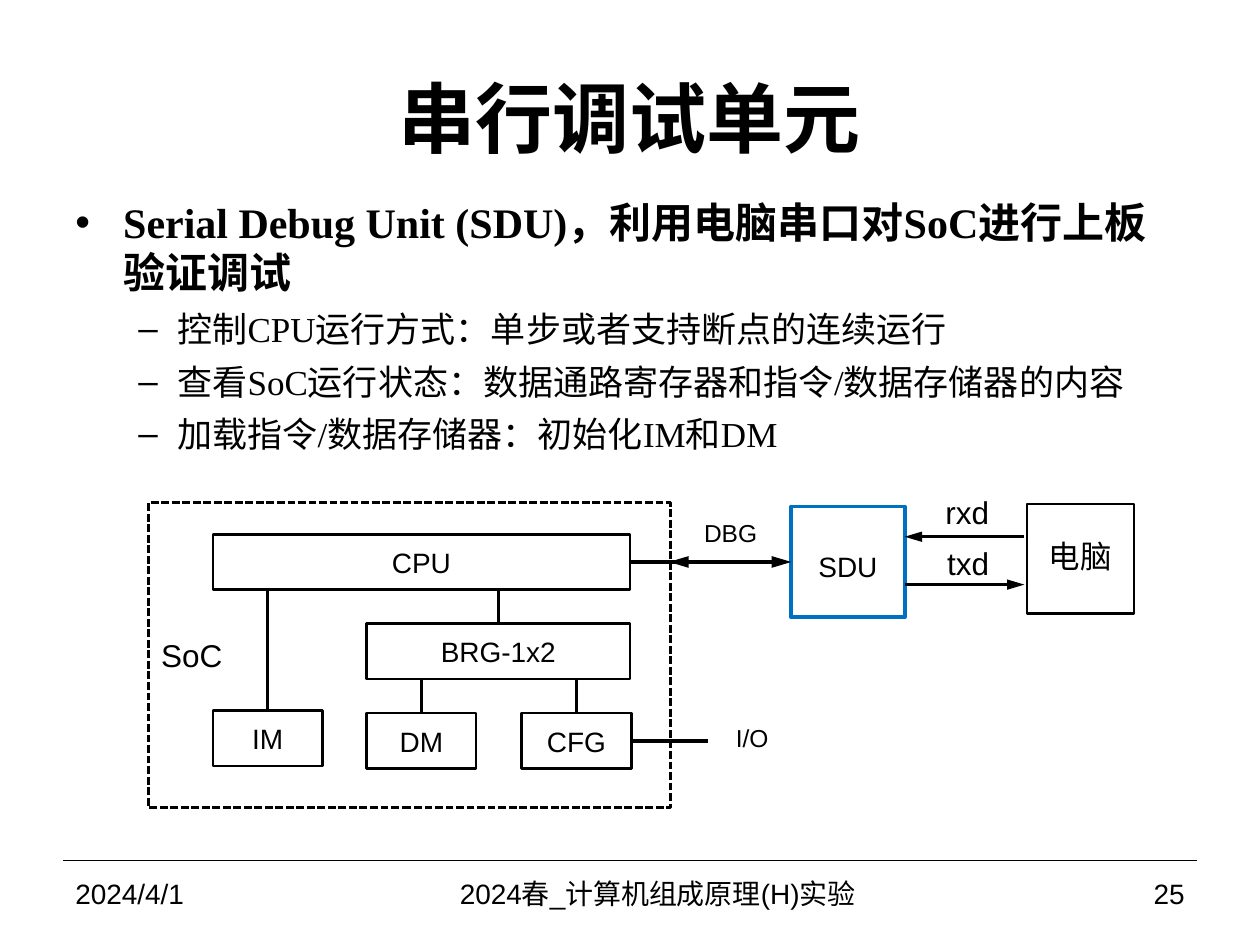
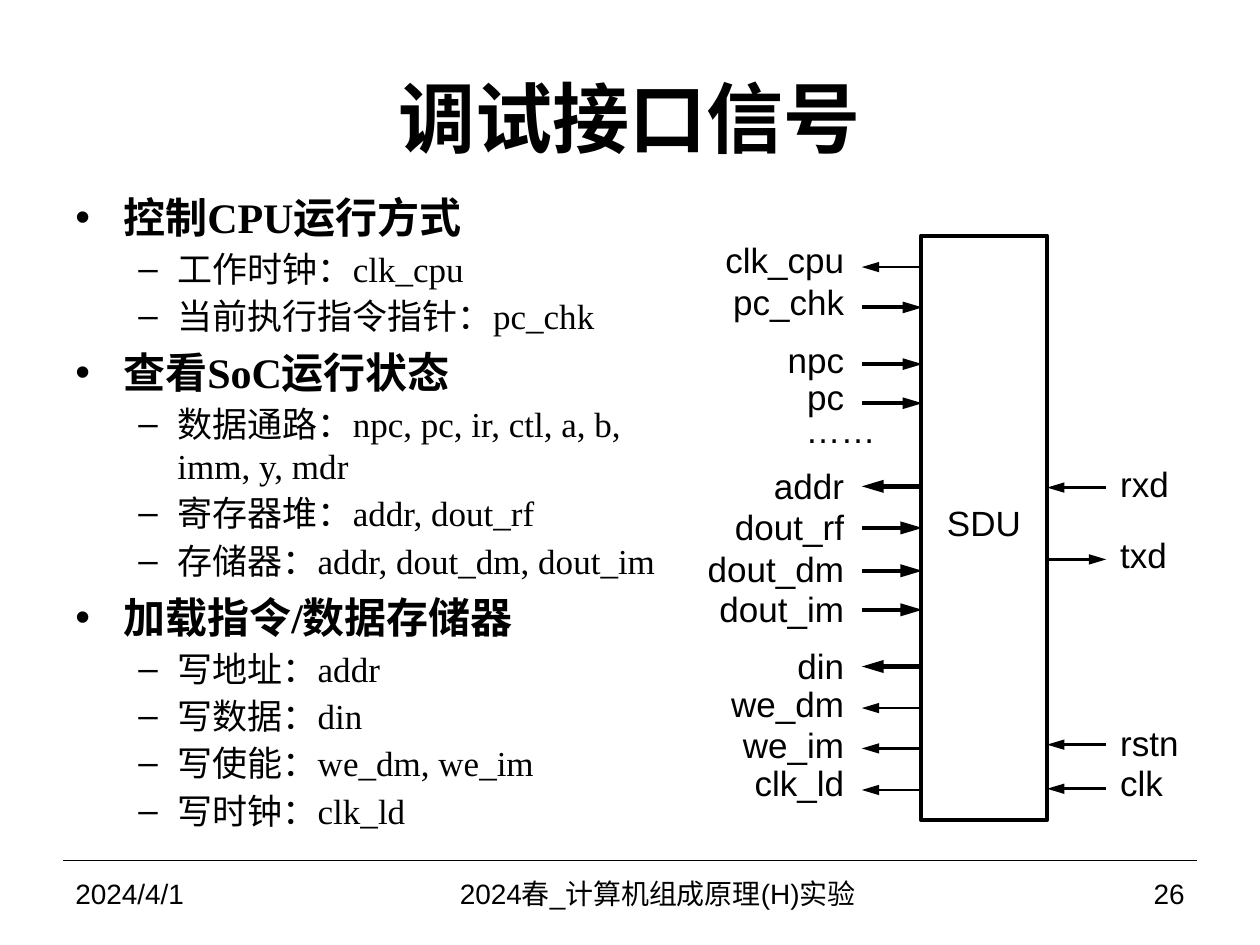
from lxml import etree
from pptx import Presentation
from pptx import util as u
from pptx.dml.color import RGBColor
from pptx.enum import dml, shapes, text
from pptx.oxml.ns import qn

HUES = {"ink": "000000", "blue": "0070C0"}
SANS, SERIF = "Arial", "Times New Roman"
LEFT, MID, RIGHT = text.PP_ALIGN.LEFT, text.PP_ALIGN.CENTER, text.PP_ALIGN.RIGHT
TOP, WEST, SOUTH, EAST = range(4)
NORM, BOLD, FAT = 1.5, 2.25, 2.5


def hue(name):
    return RGBColor.from_string(HUES[name])


def span(box, org=(0, 0)):
    """Turn a box in inches, relative to org, into lengths."""
    x, y, w, h = box
    return [u.Inches(v) for v in (org[0] + x, org[1] + y, w, h)]


def style(para, size, face=SANS, bold=False, align=LEFT):
    para.alignment = align
    for run in para.runs:
        font = run.font
        font.size, font.name, font.bold = u.Pt(size), face, bold
        font.color.rgb = hue("ink")


def frame(shape, words, size, align=LEFT, wrap=False, pad=(0, 0, 0, 0)):
    """Fill a shape with one line of text, centred in height."""
    tf = shape.text_frame
    tf.text = words
    tf.word_wrap = wrap
    tf.vertical_anchor = text.MSO_ANCHOR.MIDDLE
    (tf.margin_left, tf.margin_top,
     tf.margin_right, tf.margin_bottom) = [u.Inches(v) for v in pad]
    style(tf.paragraphs[0], size, align=align)
    return tf.paragraphs[0]


def label(slide, org, box, words, size, align=RIGHT):
    frame(slide.shapes.add_textbox(*span(box, org)), words, size, align)


def block(slide, org, box, words, size=16, line=NORM, tint="ink", align=MID, **more):
    shape = slide.shapes.add_shape(shapes.MSO_SHAPE.RECTANGLE, *span(box, org))
    shape.shadow.inherit = False
    shape.fill.background()
    shape.line.color.rgb = hue(tint)
    shape.line.width = u.Pt(line)
    frame(shape, words, size, align, **more)
    return shape


def wire(slide, org, start, end, width=2, ends=(), begin=None, stop=None):
    """Draw a line; ends names arrowheads, begin and stop are (shape, side)."""
    x, y = org
    line = slide.shapes.add_connector(
        shapes.MSO_CONNECTOR.STRAIGHT,
        *[u.Inches(v) for v in (x + start[0], y + start[1], x + end[0], y + end[1])])
    if begin:
        line.begin_connect(*begin)
    if stop:
        line.end_connect(*stop)
    line.line.color.rgb = hue("ink")
    line.line.width = u.Pt(width)
    props = line._element.spPr
    for tag in ends:
        etree.SubElement(props.find(qn("a:ln")), qn("a:" + tag),
                         type="triangle", w="med", len="lg")
    etree.SubElement(props, qn("a:effectLst"))


def base(deck, title, page):
    """Title, rule and footer of every slide."""
    slide = deck.slides.add_slide(deck.slide_layouts[5])
    head = slide.shapes.title
    head.left, head.top, head.width, head.height = span((0.5, 0.3, 9, 1.25))
    frame(head, title, 44, MID, True, (0.1, 0.05, 0.1, 0.05))
    style(head.text_frame.paragraphs[0], 44, bold=True, align=MID)
    wire(slide, (0, 0), (0.5, 6.83), (9.5, 6.83), 0.75)
    foot = [(0.5, 2.33, "2024/4/1", LEFT),
            (2.83, 4.83, "2024春_计算机组成原理(H)实验 ", MID),
            (7.67, 1.83, str(page), RIGHT)]
    for x, w, words, align in foot:
        shape = slide.shapes.add_textbox(*span((x, 6.83, w, 0.52)))
        frame(shape, words, 16, align, True, (0.1, 0.05, 0.1, 0.05))
    return slide


def outline(slide, box, items, before=(0, 0), after=0):
    """Bulleted text; items are (level, words)."""
    tf = slide.shapes.add_textbox(*span(box)).text_frame
    tf.word_wrap = True
    looks = [(24, True, 0.38, 0.38, "•"), (20, False, 0.81, 0.31, "–")]
    for i, (level, words) in enumerate(items):
        para = tf.paragraphs[0] if i == 0 else tf.add_paragraph()
        size, bold, left, hang, mark = looks[level]
        para.text, para.level = words, level
        para.space_before, para.space_after = u.Pt(before[level]), u.Pt(after)
        style(para, size, SERIF, bold)
        props = para._p.get_or_add_pPr()
        props.set("marL", str(u.Inches(left)))
        props.set("indent", str(-u.Inches(hang)))
        etree.SubElement(props, qn("a:buFont"), typeface=SANS)
        etree.SubElement(props, qn("a:buChar"), char=mark)


def soc(slide, org):
    """Dashed chip with its units and buses."""
    chip = block(slide, org, (0, 0, 4.14, 2.42), "SoC", 18,
                 align=LEFT, wrap=True, pad=(0.1, 0, 0, 0))
    chip.line.dash_style = dml.MSO_LINE.SQUARE_DOT
    cells = [("CPU", 0.51, 0.25, 3.31), ("BRG-1x2", 1.73, 0.96, 2.09),
             ("IM", 0.51, 1.65, 0.87), ("DM", 1.73, 1.67, 0.87),
             ("CFG", 2.96, 1.67, 0.87)]
    units = {name: block(slide, org, (x, y, w, 0.44), name) for name, x, y, w in cells}
    mids = {name: x + w / 2 for name, x, y, w in cells}
    tops = {name: y for name, x, y, w in cells}
    # Each bus drops straight onto the middle of the lower unit
    for upper, lower in [("CPU", "BRG-1x2"), ("CPU", "IM"),
                         ("BRG-1x2", "DM"), ("BRG-1x2", "CFG")]:
        x = mids[lower]
        wire(slide, org, (x, tops[upper] + 0.44), (x, tops[lower]),
             stop=(units[lower], TOP))
    # Stubs that leave the chip
    for name in ("CPU", "CFG"):
        y = tops[name] + 0.22
        wire(slide, org, (3.82, y), (4.44, y), begin=(units[name], EAST))
    label(slide, org, (4.28, 0.11, 0.55, 0.25), "DBG", 14)
    label(slide, org, (4.58, 1.74, 0.34, 0.25), "I/O", 14)


def host(slide, org):
    """Debug unit and computer to the right of the chip."""
    sdu = block(slide, org, (0.97, 0.02, 0.9, 0.88), "SDU", line=BOLD,
                tint="blue", pad=(0, 0.08, 0, 0))
    para = sdu.text_frame.paragraphs[0]
    para.line_spacing, para.space_before = u.Pt(18), u.Pt(6)
    host_pc = block(slide, org, (2.84, 0, 0.85, 0.87), "电脑", 18)
    host_pc.text_frame.paragraphs[0].line_spacing = u.Pt(18)
    wire(slide, org, (0.97, 0.46), (0, 0.46), BOLD, ("headEnd", "tailEnd"),
         begin=(sdu, WEST))
    for name, y, top, end in [("rxd", 0.26, 0, "tailEnd"), ("txd", 0.64, 0.4, "headEnd")]:
        wire(slide, org, (2.82, y), (1.87, y), NORM, (end,))
        label(slide, org, (2.16, top, 0.38, 0.13), name, 18)


def ports(slide, org):
    """Debug unit with its signals on both sides."""
    sdu = block(slide, org, (1.71, 0, 1, 4.64), "SDU", 20, BOLD)
    sdu.text_frame.paragraphs[0].line_spacing = u.Pt(18)
    # Chip side: name, label width, label top, arrow height, line, direction
    west = [("clk_cpu", 0.95, 0.02, 0.25, NORM, "out"),
            ("pc_chk", 0.89, 0.35, 0.57, BOLD, "in"),
            ("npc", 0.45, 0.81, 1.02, BOLD, "in"),
            ("pc", 0.3, 1.11, 1.33, BOLD, "in"),
            ("addr", 0.56, 1.81, 1.99, FAT, "out"),
            ("dout_rf", 0.87, 2.14, 2.32, FAT, "in"),
            ("dout_dm", 1.09, 2.47, 2.66, FAT, "in"),
            ("dout_im", 1, 2.79, 2.97, FAT, "in"),
            ("din", 0.38, 3.24, 3.42, FAT, "out"),
            ("we_dm", 0.9, 3.54, 3.75, NORM, "out"),
            ("we_im", 0.81, 3.87, 4.07, NORM, "out"),
            ("clk_ld", 0.72, 4.17, 4.4, NORM, "out")]
    for name, w, top, y, line, way in west:
        end = "tailEnd" if way == "out" else "headEnd"
        wire(slide, org, (1.72, y), (1.24, y), line, (end,))
        label(slide, org, (1.1 - w, top, w, 0.34), name, 20)
    label(slide, org, (0.79, 1.37, 0.56, 0.34), "……", 20)
    # Computer side: name, label width, label top, label height, arrow, direction
    east = [("rxd", 0.4, 1.76, 0.42, 2, "in"), ("txd", 0.4, 2.32, 0.42, 2.57, "out"),
            ("rstn", 0.47, 3.85, 0.34, 4.04, "in"), ("clk", 0.34, 4.17, 0.34, 4.39, "in")]
    for name, w, top, h, y, way in east:
        end = "tailEnd" if way == "out" else "headEnd"
        wire(slide, org, (2.71, y), (3.18, y), NORM, (end,))
        label(slide, org, (3.29, top, w, h), name, 20, LEFT)


def main():
    deck = Presentation()
    deck.slide_width, deck.slide_height = u.Inches(10), u.Inches(7.5)

    # Block diagram of the debug unit
    slide = base(deck, "串行调试单元", 25)
    outline(slide, (0.5, 1.51, 9, 5.24), [
        (0, "Serial Debug Unit (SDU)，利用电脑串口对SoC进行上板验证调试"),
        (1, "控制CPU运行方式：单步或者支持断点的连续运行"),
        (1, "查看SoC运行状态：数据通路寄存器和指令/数据存储器的内容"),
        (1, "加载指令/数据存储器：初始化IM和DM")], after=6)
    soc(slide, (1.18, 3.99))
    host(slide, (5.31, 4))

    # Signals of the debug interface
    slide = base(deck, "调试接口信号", 26)
    outline(slide, (0.5, 1.47, 4.88, 5.36), [
        (0, "控制CPU运行方式"),
        (1, "工作时钟：clk_cpu"),
        (1, "当前执行指令指针：pc_chk"),
        (0, "查看SoC运行状态"),
        (1, "数据通路：npc, pc, ir, ctl, a, b, imm, y, mdr"),
        (1, "寄存器堆：addr, dout_rf"),
        (1, "存储器：addr, dout_dm, dout_im"),
        (0, "加载指令/数据存储器"),
        (1, "写地址：addr"),
        (1, "写数据：din"),
        (1, "写使能：we_dm, we_im"),
        (1, "写时钟：clk_ld")], before=(6, 3))
    ports(slide, (5.6, 1.87))
    deck.save("out.pptx")


if __name__ == "__main__":
    main()
